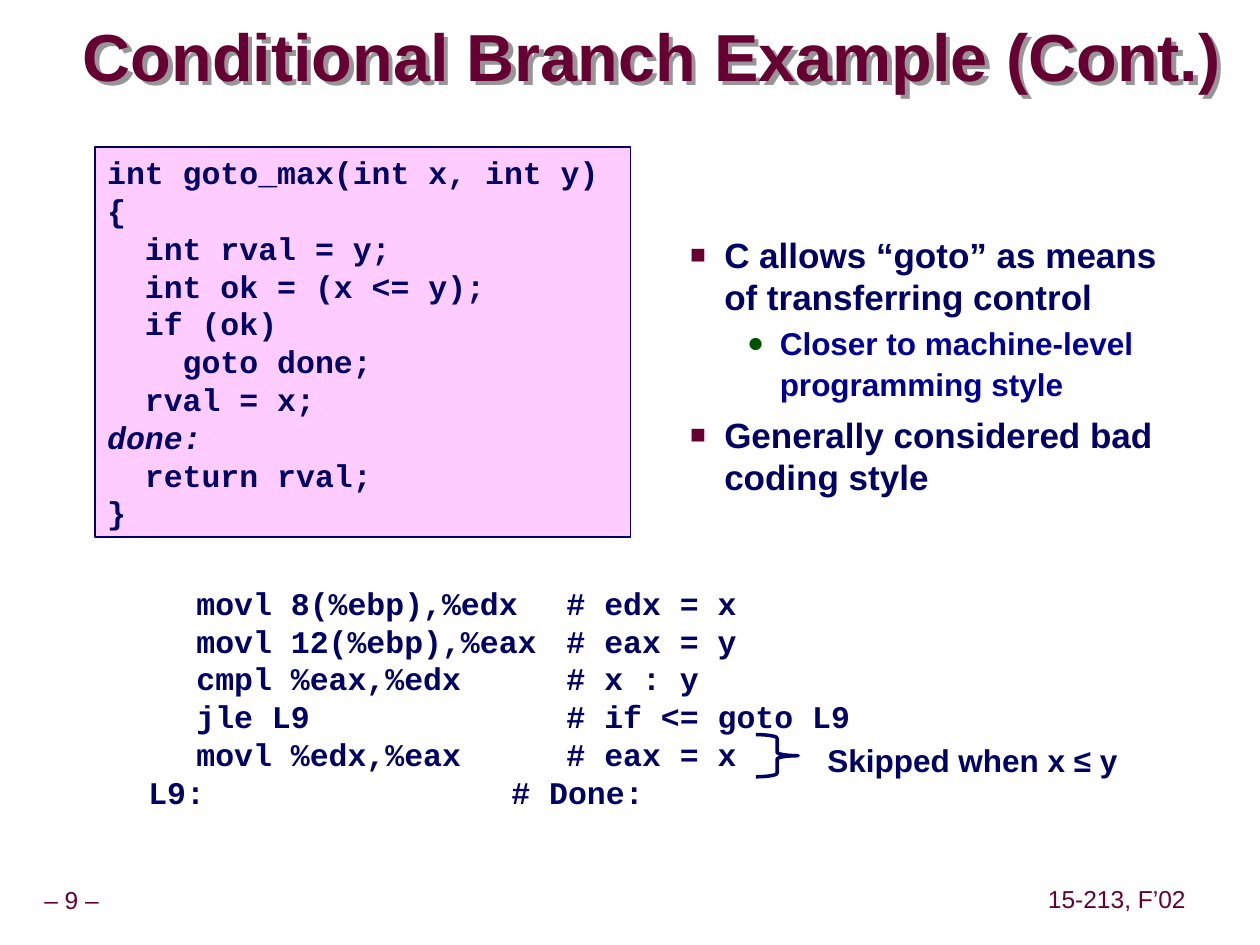
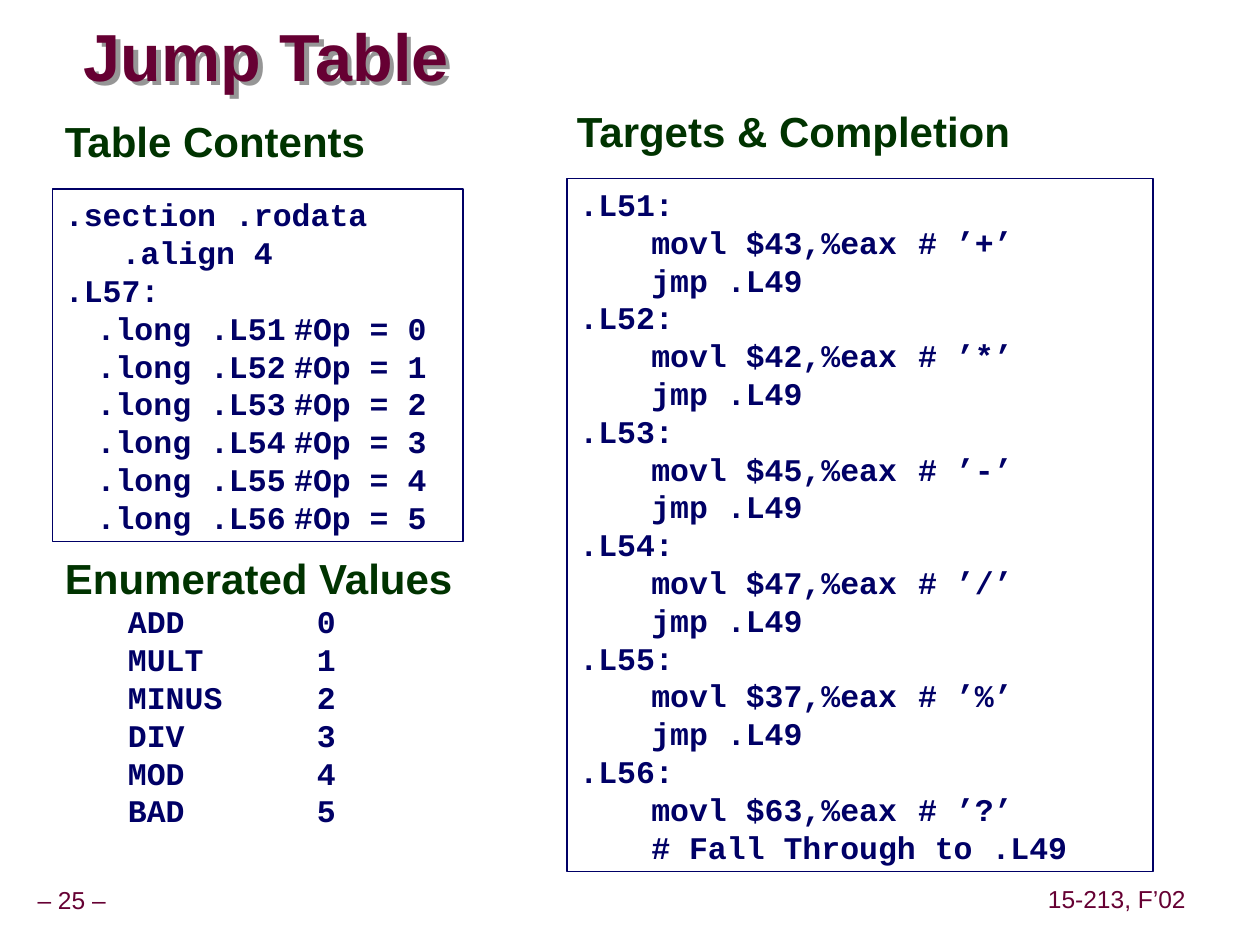
from lxml import etree
from pptx import Presentation
from pptx import util as u
from pptx.dml.color import RGBColor
from pptx.enum import shapes, text
from pptx.oxml.ns import qn

MAROON = "660033"
NAVY = "000066"
BLUE = "000099"
DARK_GREEN = "003300"
BULLET_GREEN = "005400"
PINK = "FFCCFF"
SHADOW_GREY = "969696"

SANS = "Arial"
MONO = "Courier New"
LINE_HEIGHT = 1.2  # line pitch relative to the text size

TITLE_AND_BODY, TITLE_ONLY = 1, 5  # layouts of the default template

GOTO_CODE = """int goto_max(int x, int y)
{
  int rval = y;
  int ok = (x <= y);
  if (ok)
    goto done;
  rval = x;
done:
  return rval;
}"""

BRANCH_ASSEMBLY = [
    "\tmovl 8(%ebp),%edx\t# edx = x",
    "\tmovl 12(%ebp),%eax\t# eax = y",
    "\tcmpl %eax,%edx\t\t# x : y",
    "\tjle L9\t\t# if <= goto L9",
    "\tmovl %edx,%eax\t\t# eax = x",
    "L9:\t# Done:",
]

GOTO_NOTES = [
    (1, "C allows “goto” as means of transferring control"),
    (2, "Closer to machine-level programming style"),
    (1, "Generally considered bad coding style"),
]

OPERATIONS = ["ADD", "MULT", "MINUS", "DIV", "MOD", "BAD"]
OPERATORS = [(43, "+"), (42, "*"), (45, "-"), (47, "/"), (37, "%"), (63, "?")]
FIRST_LABEL = 51


def color(hex_string):
    return RGBColor.from_string(hex_string)


def add_element(parent, tag, **attributes):
    values = {name: str(value) for name, value in attributes.items()}
    return etree.SubElement(parent, qn(tag), values)


class Deck:
    """Holds the shared style and the slide being built."""

    def __init__(self):
        self.presentation = Presentation()
        self.presentation.slide_width = u.Cm(25.4)
        self.presentation.slide_height = u.Cm(19.05)
        self.slide = None

    def add_slide(self, layout, title, title_box, number):
        layouts = self.presentation.slide_layouts
        self.slide = self.presentation.slides.add_slide(layouts[layout])
        self.title(title, title_box)
        self.footer(f"– {number} –", (-0.22, 17.78, 3.33, 0.79))
        self.footer("15-213, F’02", (20.59, 17.75, 3.85, 0.79))

    def place(self, shape, box):
        lengths = [u.Cm(length) for length in box]
        shape.left, shape.top, shape.width, shape.height = lengths

    def frame(self, shape, margins=(0.25, 0.13), anchor=text.MSO_ANCHOR.TOP):
        """Set up the text frame of a shape and return it."""
        frame = shape.text_frame
        frame.word_wrap = True
        frame.auto_size = text.MSO_AUTO_SIZE.NONE
        frame.vertical_anchor = anchor
        frame.margin_left = frame.margin_right = u.Cm(margins[0])
        frame.margin_top = frame.margin_bottom = u.Cm(margins[1])
        return frame

    def paragraph(self, frame, content, size, hex_color, font=SANS, bold=True,
                  italic=False, align=text.PP_ALIGN.LEFT, spacing=1.0,
                  level=0, left=0, hanging=0, before=0, bullet=None, tabs=()):
        """Add a paragraph; bullet is (character, colour, percent)."""
        paragraph = frame.paragraphs[0]
        if paragraph.runs:
            paragraph = frame.add_paragraph()
        properties = paragraph._p.get_or_add_pPr()
        # A zero indent must stay unset: LibreOffice drops tab stops otherwise.
        if left:
            properties.set("marL", str(u.Cm(left)))
        if hanging:
            properties.set("indent", str(u.Cm(-hanging)))
        if bullet:
            character, bullet_color, percent = bullet
            fill = add_element(properties, "a:buClr")
            add_element(fill, "a:srgbClr", val=bullet_color)
            add_element(properties, "a:buSzPct", val=percent * 1000)
            add_element(properties, "a:buFont", typeface=SANS)
            add_element(properties, "a:buChar", char=character)
        if tabs:
            tab_list = add_element(properties, "a:tabLst")
            for position in tabs:
                add_element(tab_list, "a:tab", pos=u.Cm(position), algn="l")
        paragraph.level = level
        paragraph.alignment = align
        paragraph.line_spacing = u.Pt(size * LINE_HEIGHT * spacing)
        paragraph.space_before = u.Pt(before)
        run = paragraph.add_run()
        run.text = content
        run.font.name = font
        run.font.size = u.Pt(size)
        run.font.bold = bold
        run.font.italic = italic
        run.font.color.rgb = color(hex_color)

    def title(self, content, box):
        shape = self.slide.shapes.title
        self.place(shape, box)
        effects = add_element(shape._element.spPr, "a:effectLst")
        shadow = add_element(effects, "a:outerShdw", dist=u.Pt(3.6),
                             dir=45 * 60000, algn="ctr", rotWithShape=0)
        add_element(shadow, "a:srgbClr", val=SHADOW_GREY)
        frame = self.frame(shape, (0, 0), text.MSO_ANCHOR.MIDDLE)
        self.paragraph(frame, content, 38, MAROON, spacing=0.87)

    def text_box(self, box, **options):
        shape = self.slide.shapes.add_textbox(*[u.Cm(length) for length in box])
        return self.frame(shape, **options)

    def footer(self, content, box):
        frame = self.text_box(box, margins=(0.13, 0.13),
                              anchor=text.MSO_ANCHOR.MIDDLE)
        self.paragraph(frame, content, 14, MAROON, bold=False,
                       align=text.PP_ALIGN.CENTER, spacing=0.9)

    def heading(self, content, left, top):
        frame = self.text_box((left, top, 9.55, 1.14))
        self.paragraph(frame, content, 24, DARK_GREEN, spacing=0.9)

    def label(self, content, box):
        self.paragraph(self.text_box(box), content, 18, NAVY)

    def shape(self, kind, box, line_width, fill=None):
        lengths = [u.Cm(length) for length in box]
        shape = self.slide.shapes.add_shape(kind, *lengths)
        shape.shadow.inherit = False
        shape.line.color.rgb = color(NAVY)
        shape.line.width = u.Pt(line_width)
        if fill:
            shape.fill.solid()
            shape.fill.fore_color.rgb = color(fill)
        else:
            shape.fill.background()
        return shape

    def code(self, frame, lines, italic_line=None, **options):
        for line in lines:
            self.paragraph(frame, line, 18, NAVY, font=MONO,
                           italic=line == italic_line, **options)

    def code_box(self, box, lines, fill=None, **options):
        shape = self.shape(shapes.MSO_SHAPE.RECTANGLE, box, 1, fill)
        self.code(self.frame(shape), lines, **options)

    def bullets(self, items, box):
        styles = {
            1: dict(size=20, hex_color=NAVY, left=2.06, hanging=0.69,
                    before=6.2, bullet=("■", MAROON, 75)),
            2: dict(size=18, hex_color=BLUE, left=3.18, hanging=0.66,
                    before=2.2, spacing=1.07, bullet=("●", BULLET_GREEN, 90)),
        }
        body = self.slide.placeholders[1]
        self.place(body, box)
        frame = self.frame(body)
        for position, (level, content) in enumerate(items):
            style = dict(styles[level])
            if position == 0:
                style["before"] = 0
            self.paragraph(frame, content, level=level, **style)


def branch_slide(deck):
    deck.add_slide(TITLE_AND_BODY, "Conditional Branch Example (Cont.)",
                   (1.67, 0.41, 23.4, 1.6), 9)
    deck.code(deck.text_box((2.74, 11.64, 16.94, 4.83)), BRANCH_ASSEMBLY,
              tabs=(0.97, 7.32, 8.43))
    deck.code_box((1.91, 2.96, 10.8, 7.87), GOTO_CODE.split("\n"), fill=PINK,
                  italic_line="done:")
    deck.shape(shapes.MSO_SHAPE.RIGHT_BRACE, (15.24, 14.81, 0.85, 0.85), 2)
    deck.label("Skipped when x ≤ y", (16.43, 14.81, 7, 1.02))
    deck.bullets(GOTO_NOTES, (12.29, 4.58, 11.61, 7.16))


def target_lines():
    lines = []
    for label, (code, operator) in enumerate(OPERATORS, FIRST_LABEL):
        lines += [f".L{label}:", f"\tmovl ${code},%eax\t# ’{operator}’",
                  "\tjmp .L49"]
    lines[-1] = "\t# Fall Through to .L49"
    return lines


def jump_table_slide(deck):
    deck.add_slide(TITLE_ONLY, "Jump Table", (1.69, 0.41, 14.81, 1.6), 25)

    values = deck.text_box((1.06, 11, 9.27, 5.84))
    deck.paragraph(values, "Enumerated Values", 24, DARK_GREEN)
    deck.code(values, [f"{name}\t{value}" for value, name in enumerate(OPERATIONS)],
              tabs=(3.81,), left=1.27)

    table = [".section .rodata", "   .align 4", ".L57:"]
    table += [f"\t.long .L{FIRST_LABEL + value}\t#Op = {value}"
              for value in range(len(OPERATIONS))]
    deck.code_box((1.06, 3.81, 8.28, 7.11), table, tabs=(0.64, 4.62))
    deck.heading("Table Contents", 1.06, 2.3)

    deck.code_box((11.43, 3.6, 11.81, 13.97), target_lines(), tabs=(1.45, 6.83))
    deck.heading("Targets & Completion", 11.38, 2.09)


def main():
    deck = Deck()
    branch_slide(deck)
    jump_table_slide(deck)
    deck.presentation.save("out.pptx")


if __name__ == "__main__":
    main()
